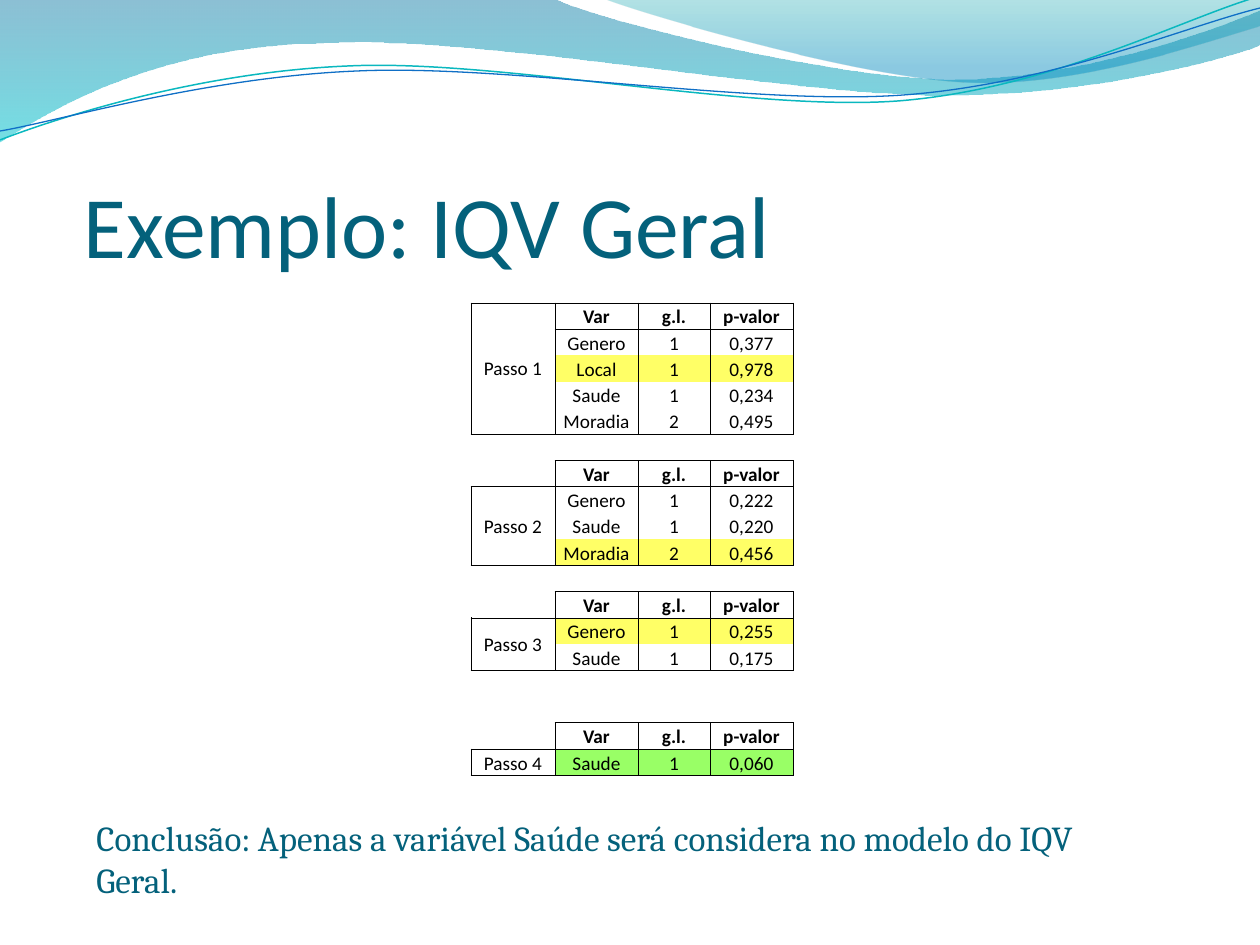
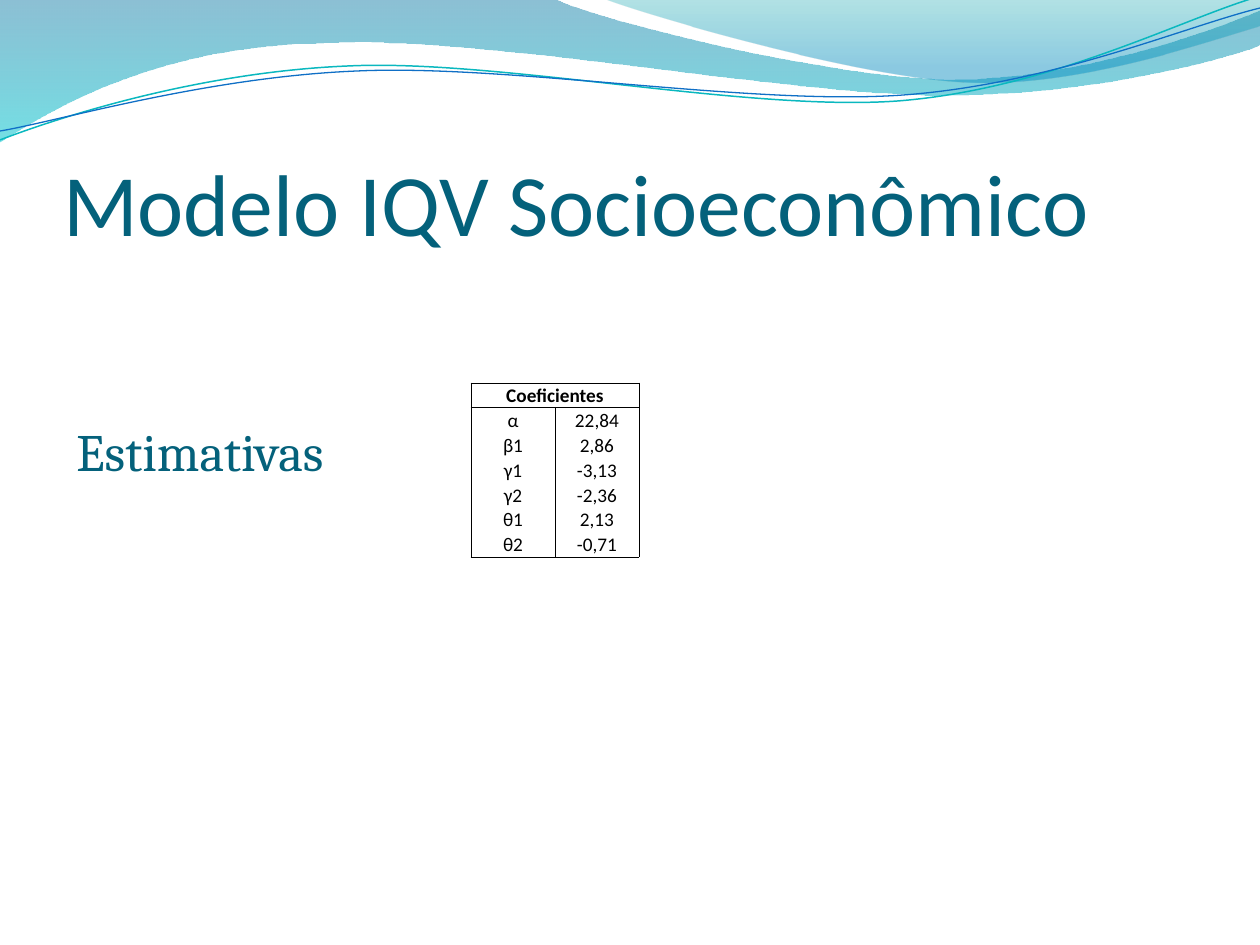
import math
from collections import defaultdict

from lxml import etree
from pptx import Presentation
from pptx import util as u
from pptx.dml.color import RGBColor
from pptx.enum import text
from pptx.oxml import ns

SCALE = 914400 / 126  # EMU per px
TEAL = RGBColor(0x04, 0x61, 0x7B)
BLACK = RGBColor(0, 0, 0)
WHITE = RGBColor(0xFF, 0xFF, 0xFF)
YELLOW = RGBColor(0xFF, 0xFF, 0x66)
GREEN = RGBColor(0x99, 0xFF, 0x66)
SEA = RGBColor(0x00, 0x74, 0xA1)
AQUA = RGBColor(0x00, 0xC6, 0xCF)
LAGOON = RGBColor(0x00, 0xA1, 0xA9)
SKY = RGBColor(0x00, 0x8B, 0xBF)
LINE_AQUA = RGBColor(0x0A, 0xB8, 0xBF)
LINE_BLUE = RGBColor(0x0F, 0x6F, 0xC6)

TITLE_FONT = dict(name="Calibri", size=u.Pt(50))
CELL_FONT = dict(name="Calibri", size=u.Pt(11))
NO_STYLE = "{2D5ABB26-0587-4C30-8999-92F81FD0307C}"
SIDES = ("lnL", "lnR", "lnT", "lnB")
TILT = 2.7  # degrees the ripples are turned to the left

# Each outline: start point, then line ends (2 numbers) or Bezier curves (6 numbers).
BANDS = [
    ([(0, 0), (554, -1), (600, 21, 837, 79, 955, 79), (1075, 79, 1207, 33, 1260, 11),
      (1261, 45), (1239, 55, 1096, 96, 940, 95), (784, 95, 481, 35, 324, 43),
      (163, 45, 58, 105, -1, 142)],
     [(0, SEA, 45), (1, AQUA, 55)]),
    ([(604, -1), (641, 14, 859, 78, 969, 82), (1079, 87, 1211, 40, 1260, 26), (1260, 0)],
     [(0, LAGOON, 30), (0.8, SKY, 45)]),
]
RIPPLES = [
    ([(0, 140), (60, 117, 199, 72, 349, 66), (498, 59, 747, 112, 898, 101),
      (1050, 89, 1182, 19, 1257, -3)], (629, 72), LINE_AQUA, 0.85),
    ([(0, 131), (59, 121, 207, 77, 357, 71), (508, 64, 752, 106, 903, 95),
      (1053, 84, 1186, 26, 1260, 8)], (629, 74), LINE_BLUE, 0.75),
]

# First row, label, highlight, chosen variable, variables
STEPS = [
    (0, "Passo 1", YELLOW, "Local",
     [("Genero", "1", "0,377"), ("Local", "1", "0,978"),
      ("Saude", "1", "0,234"), ("Moradia", "2", "0,495")]),
    (6, "Passo 2", YELLOW, "Moradia",
     [("Genero", "1", "0,222"), ("Saude", "1", "0,220"), ("Moradia", "2", "0,456")]),
    (11, "Passo 3", YELLOW, "Genero", [("Genero", "1", "0,255"), ("Saude", "1", "0,175")]),
    (16, "Passo 4", GREEN, "Saude", [("Saude", "1", "0,060")]),
]
STEP_HEADER = ("Var", "g.l.", "p-valor")
COEFFICIENTS = [("α", "22,84"), ("β1", "2,86"), ("γ1", "-3,13"),
                ("γ2", "-2,36"), ("θ1", "2,13"), ("θ2", "-0,71")]


def px(n):
    return u.Emu(round(n * SCALE))


def assign(obj, **values):
    for name, value in values.items():
        setattr(obj, name, value)


def write(p, words, color, font):
    r = p.add_run()
    r.text = words
    assign(r.font, **font)
    r.font.color.rgb = color


def turn(point, center, degrees):
    (x, y), (cx, cy) = point, center
    a = math.radians(degrees)
    return (cx + (x - cx) * math.cos(a) - (y - cy) * math.sin(a),
            cy + (x - cx) * math.sin(a) + (y - cy) * math.cos(a))


def add_outline(slide, outline, close, center=(0, 0), tilt=0):
    """Adds a freeform whose six-number segments become Bezier curves."""
    segments = []
    for seg in outline:
        points = [turn(pt, center, tilt) for pt in zip(seg[::2], seg[1::2])]
        segments.append([(px(x), px(y)) for x, y in points])
    builder = slide.shapes.build_freeform(*segments[0][0], scale=1.0)
    builder.add_line_segments([seg[-1] for seg in segments[1:]], close=close)
    sp = builder.convert_to_shape()
    sp.shadow.inherit = False
    for line, seg in zip(list(sp.element.iter(ns.qn("a:lnTo"))), segments[1:]):
        if len(seg) == 3:
            curve = etree.Element(ns.qn("a:cubicBezTo"))
            for x, y in seg:
                etree.SubElement(curve, ns.qn("a:pt"), x=str(x - sp.left), y=str(y - sp.top))
            line.getparent().replace(line, curve)
    sp.rotation = -tilt % 360
    return sp


def add_waves(slide):
    """Draws the wave header and moves it to the slide's layout."""
    waves = []
    for outline, stops in BANDS:
        sp = add_outline(slide, outline, True)
        sp.line.fill.background()
        sp.fill.gradient()
        sp.fill.gradient_angle = 270
        for stop, (position, color, _) in zip(sp.fill.gradient_stops, stops):
            stop.position = position
            stop.color.rgb = color
        for clr, (_, _, opacity) in zip(sp.element.iter(ns.qn("a:srgbClr")), stops):
            etree.SubElement(clr, ns.qn("a:alpha"), val=str(opacity * 1000))
        waves.append(sp)
    for outline, center, color, width in RIPPLES:
        sp = add_outline(slide, outline, False, center, TILT)
        sp.fill.background()
        sp.line.color.rgb = color
        sp.line.width = u.Pt(width)
        waves.append(sp)
    for sp in waves:
        slide.slide_layout.shapes.element.append(sp.element)


def add_title(slide, words, left, top):
    sp = slide.shapes.title
    assign(sp, left=px(left), top=px(top), width=px(1134), height=px(158))
    tf = sp.text_frame
    assign(tf, margin_left=0, margin_right=0, margin_bottom=0, margin_top=px(6),
           word_wrap=True, auto_size=text.MSO_AUTO_SIZE.NONE,
           vertical_anchor=text.MSO_ANCHOR.BOTTOM)
    p = tf.paragraphs[0]
    p.alignment = text.PP_ALIGN.LEFT
    write(p, words, TEAL, TITLE_FONT)


def add_note(slide, words, box, size):
    tf = slide.shapes.add_textbox(*map(px, box)).text_frame
    assign(tf, word_wrap=True, auto_size=text.MSO_AUTO_SIZE.SHAPE_TO_FIT_TEXT)
    write(tf.paragraphs[0], words, TEAL, dict(name="Cambria", size=u.Pt(size)))


def add_grid(slide, left, top, height, widths, rows):
    """Adds an unstyled table with equal rows and small white cells."""
    table = slide.shapes.add_table(rows, len(widths), px(left), px(top),
                                   px(sum(widths)), px(height)).table
    assign(table, first_row=False, horz_banding=False)
    next(table._tbl.iter(ns.qn("a:tableStyleId"))).text = NO_STYLE
    for column, width in zip(table.columns, widths):
        column.width = px(width)
    for row in table.rows:
        row.height = px(height / rows)
    for cell in table.iter_cells():
        assign(cell, margin_left=px(1), margin_right=px(1), margin_top=px(1),
               margin_bottom=0, vertical_anchor=text.MSO_ANCHOR.BOTTOM)
        cell.fill.solid()
        cell.fill.fore_color.rgb = WHITE
        p = cell.text_frame.paragraphs[0]
        p._p.get_or_add_endParaRPr().set("sz", "1100")
    return table


def fill_cell(cell, words, color=WHITE, bold=False):
    cell.fill.fore_color.rgb = color
    p = cell.text_frame.paragraphs[0]
    p.alignment = text.PP_ALIGN.CENTER
    write(p, words, BLACK, dict(CELL_FONT, bold=bold))


def frame(table, boxes):
    """Rules the outline of each box (first row, first column, last row, last column)."""
    edges = defaultdict(set)
    for r0, c0, r1, c1 in boxes:
        for r in range(r0, r1 + 1):
            edges[r, c0].add("lnL")
            edges[r, c0 - 1].add("lnR")
            edges[r, c1].add("lnR")
            edges[r, c1 + 1].add("lnL")
        for c in range(c0, c1 + 1):
            edges[r0, c].add("lnT")
            edges[r0 - 1, c].add("lnB")
            edges[r1, c].add("lnB")
            edges[r1 + 1, c].add("lnT")
    for r in range(len(table.rows)):
        for c in range(len(table.columns)):
            cell = table.cell(r, c)
            for i, side in enumerate(SIDES):
                ln = etree.Element(ns.qn("a:" + side), w=str(u.Pt(0.5)))
                if cell.is_merge_origin or side in edges[r, c]:
                    fill = etree.SubElement(ln, ns.qn("a:solidFill"))
                    etree.SubElement(fill, ns.qn("a:srgbClr"), val=str(BLACK))
                else:
                    etree.SubElement(ln, ns.qn("a:noFill"))
                cell._tc.get_or_add_tcPr().insert(i, ln)


def add_steps(slide, left, top):
    table = add_grid(slide, left, top, 473, (84, 83, 72, 83), 18)
    boxes = []
    for first, label, color, chosen, variables in STEPS:
        last = first + len(variables)
        label_row = first if first == 0 else first + 1
        label_cell = table.cell(label_row, 0)
        if last > label_row:
            label_cell.merge(table.cell(last, 0))
            label_cell.vertical_anchor = text.MSO_ANCHOR.MIDDLE
        fill_cell(label_cell, label)
        boxes.append((label_row, 0, last, 0))
        for c, name in enumerate(STEP_HEADER, 1):
            fill_cell(table.cell(first, c), name, bold=True)
            boxes += [(first, c, first, c), (first + 1, c, last, c)]
        for r, values in enumerate(variables, first + 1):
            for c, value in enumerate(values, 1):
                fill_cell(table.cell(r, c), value, color if values[0] == chosen else WHITE)
    frame(table, boxes)


def add_coefficients(slide, left, top):
    last = len(COEFFICIENTS)
    table = add_grid(slide, left, top, 174, (84, 84), last + 1)
    table.cell(0, 0).merge(table.cell(0, 1))
    fill_cell(table.cell(0, 0), "Coeficientes", bold=True)
    for r, values in enumerate(COEFFICIENTS, 1):
        for c, value in enumerate(values):
            fill_cell(table.cell(r, c), value)
    frame(table, [(0, 0, 0, 1), (1, 0, last, 0), (1, 1, last, 1)])


def build_example(slide):
    add_title(slide, "Exemplo: IQV Geral", 84, 118)
    add_steps(slide, 471, 303)
    add_note(slide, "Conclusão: Apenas a variável Saúde será considera no modelo do IQV Geral.",
             (84, 810, 1002, 97), 20)


def build_model(slide):
    add_title(slide, "Modelo IQV Socioeconômico", 63, 96)
    add_note(slide, "Estimativas", (64, 413, 328, 77), 30)
    add_coefficients(slide, 471, 383)


def main():
    prs = Presentation()
    assign(prs, slide_width=px(1260), slide_height=px(945))
    layout = prs.slide_layouts[5]
    example, model = (prs.slides.add_slide(layout) for _ in range(2))
    add_waves(example)
    build_example(example)
    build_model(model)
    prs.save("out.pptx")


if __name__ == "__main__":
    main()
